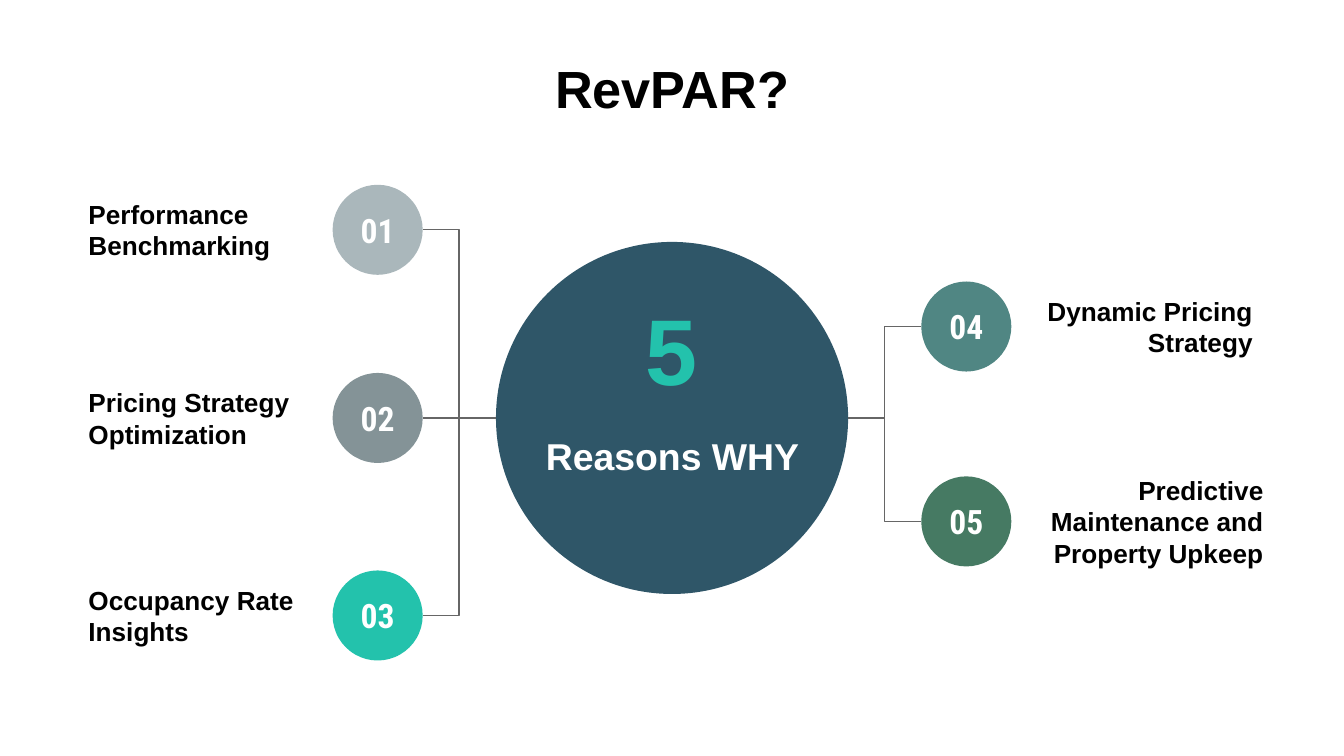
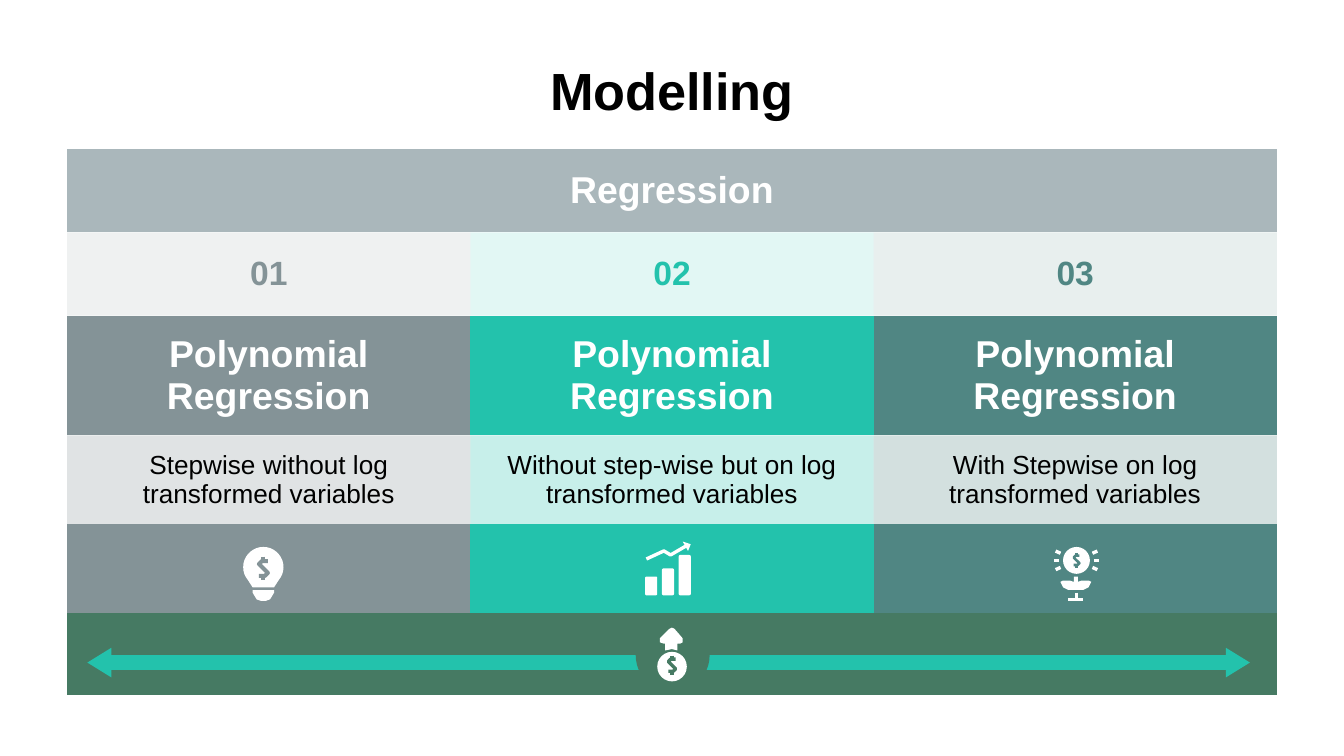
import math

from lxml import etree
from pptx import Presentation
from pptx import util as u
from pptx.dml import color as dml
from pptx.enum import shapes, text
from pptx.oxml import ns

NAVY, MIST, SLATE, MINT = "2F5668", "AAB7BB", "849397", "23C2AC"
TEAL, GREEN, GREY = "508683", "467A63", "666666"
BLACK, WHITE = "000000", "FFFFFF"
LEFT, CENTER, RIGHT = text.PP_ALIGN.LEFT, text.PP_ALIGN.CENTER, text.PP_ALIGN.RIGHT
SHAPE = shapes.MSO_SHAPE
NO_GRID_STYLE = "{2D5ABB26-0587-4C30-8999-92F81FD0307C}"
BADGE = 0.67


def rgb(value):
    """Turn a hex string into a colour."""
    return dml.RGBColor.from_string(value)


def inches(*values):
    """Convert several lengths to inches."""
    return [u.Inches(value) for value in values]


def apply(target, values):
    """Set attributes of an object from a dict."""
    for name, value in values.items():
        setattr(target, name, value)


def paint(target, color, alpha=None):
    """Fill a shape or cell, optionally with a percentage of opacity."""
    target.fill.solid()
    target.fill.fore_color.rgb = rgb(color)
    if alpha is not None:
        element = target.fill._xPr.find(".//" + ns.qn("a:srgbClr"))
        etree.SubElement(element, ns.qn("a:alpha"), val=str(alpha * 1000))


def write(frame, words, size, color, align=CENTER, bold=True, font="Arial"):
    """Write formatted paragraphs, one per line of words."""
    frame.text = words
    for para in frame.paragraphs:
        para.alignment = align
        for span in para.runs:
            apply(span.font, {"size": u.Pt(size), "bold": bold, "name": font})
            span.font.color.rgb = rgb(color)


def set_insets(target):
    """Centre text vertically and give it equal insets."""
    inset = u.Inches(0.1)
    apply(target, {"vertical_anchor": text.MSO_ANCHOR.MIDDLE,
                   "margin_left": inset, "margin_right": inset,
                   "margin_top": inset, "margin_bottom": inset})


def set_frame(frame):
    """Give a text frame wrapping, middle anchoring and equal insets."""
    apply(frame, {"word_wrap": True, "auto_size": text.MSO_AUTO_SIZE.NONE})
    set_insets(frame)


def add_page(deck, heading, top):
    """Add a slide with its centred title."""
    page = deck.slides.add_slide(deck.slide_layouts[5])
    title = page.shapes.title
    title.left, title.top, title.width, title.height = inches(0.5, top, 9, 0.41)
    set_frame(title.text_frame)
    write(title.text_frame, heading, 28, BLACK)
    return page


def add_label(page, box, words, size, color, align=CENTER):
    """Add a wrapped text box."""
    label = page.shapes.add_textbox(*inches(*box))
    set_frame(label.text_frame)
    write(label.text_frame, words, size, color, align)


def add_solid(page, kind, box, color):
    """Add a filled preset shape without line or shadow."""
    solid = page.shapes.add_shape(kind, *inches(*box))
    solid.shadow.inherit = False
    solid.line.fill.background()
    paint(solid, color)
    return solid


def add_disc(page, x, y, radius, color):
    """Add a filled circle around a centre."""
    return add_solid(page, SHAPE.OVAL, (x - radius, y - radius, 2 * radius, 2 * radius), color)


def add_outline(page, origin, contours, color, stroke=None):
    """Draw contours relative to an origin, filled or as open strokes."""
    left, top = origin
    builder = None
    for contour in contours:
        points = [inches(left + x, top + y) for x, y in contour]
        if builder is None:
            builder = page.shapes.build_freeform(*points[0])
        else:
            builder.move_to(*points[0])
        builder.add_line_segments(points[1:], close=stroke is None)
    outline = builder.convert_to_shape()
    outline.shadow.inherit = False
    if stroke is None:
        paint(outline, color)
        outline.line.fill.background()
    else:
        outline.fill.background()
        outline.line.width = u.Pt(stroke)
        outline.line.color.rgb = rgb(color)


def add_elbow(page, start, end):
    """Join two points with a thin bent connector."""
    elbow = page.shapes.add_connector(shapes.MSO_CONNECTOR.ELBOW, *inches(*start, *end))
    elbow.line.width = u.Pt(0.75)
    elbow.line.color.rgb = rgb(GREY)
    etree.SubElement(elbow._element.spPr, ns.qn("a:effectLst"))


def add_hub(page, x, y):
    """Draw the large central circle with its two texts."""
    add_disc(page, x, y, 1.31, NAVY)
    add_label(page, (x - 1.14, y - 0.12, 2.29, 0.8), "Reasons WHY", 20, WHITE)
    add_label(page, (x - 0.47, y - 0.92, 0.94, 0.8), "5", 50, MINT)


def add_reason(page, hub, number, side, y, color, words, label_left, label_width):
    """Draw one numbered badge, its label and its link to the hub."""
    x = hub[0] + side * 2.19
    add_elbow(page, (hub[0] + side * 1.31, hub[1]), (x - side * BADGE / 2, y))
    badge = add_disc(page, x, y, BADGE / 2, color)
    set_frame(badge.text_frame)
    write(badge.text_frame, f"{number:02}", 18, WHITE, font="Roboto Condensed")
    add_label(page, (label_left, y - 0.15, label_width, 0.3), words, 14, BLACK,
              LEFT if side < 0 else RIGHT)


def build_reasons(deck):
    """Build the slide of five reasons around a hub."""
    page = add_page(deck, "RevPAR?", 0.45)
    hub = (5, 3.11)
    reasons = [
        (-1, 1.71, MIST, "Performance Benchmarking", 0.56, 1.81),
        (-1, 3.11, SLATE, "Pricing Strategy Optimization", 0.56, 1.81),
        (-1, 4.58, MINT, "Occupancy Rate Insights", 0.56, 1.81),
        (1, 2.43, TEAL, "Dynamic Pricing\nStrategy", 7.61, 1.81),
        (1, 3.88, GREEN, "Predictive Maintenance and Property Upkeep", 7.56, 1.94),
    ]
    add_hub(page, *hub)
    for number, reason in enumerate(reasons, 1):
        add_reason(page, hub, number, *reason)


def add_dollar(page, x, y, scale, color):
    """Draw a stroked dollar sign around a centre."""
    curve = [(0.03, -0.05), (-0.01, -0.05), (-0.03, -0.03), (-0.01, -0.01),
             (0.01, 0.01), (0.03, 0.03), (0.01, 0.05), (-0.03, 0.05)]
    contours = [curve, [(0, -0.08), (0, -0.05)], [(0, 0.05), (0, 0.08)]]
    scaled = [[(scale * a, scale * b) for a, b in contour] for contour in contours]
    add_outline(page, (x, y), scaled, color, 2 * scale)


def add_bulb(page, left, top):
    """Draw a light bulb with a dollar sign."""
    angles = [math.radians(angle) for angle in range(140, 401, 10)]
    glass = [(0.15 + 0.15 * math.cos(a), 0.15 + 0.15 * math.sin(a)) for a in angles]
    cap = [(0.07, 0.32), (0.23, 0.32), (0.23, 0.34), (0.2, 0.39), (0.17, 0.4),
           (0.13, 0.4), (0.1, 0.39), (0.07, 0.34)]
    add_outline(page, (left, top), [glass + [(0.23, 0.3), (0.07, 0.3)]], WHITE)
    add_outline(page, (left, top), [cap], WHITE)
    add_dollar(page, left + 0.15, top + 0.16, 1.1, SLATE)


def add_growth(page, left, top):
    """Draw rising bars under a trend arrow."""
    for index, height in enumerate((0.14, 0.2, 0.3)):
        bar = add_solid(page, SHAPE.ROUNDED_RECTANGLE,
                        (left + 0.125 * index, top + 0.4 - height, 0.09, height), WHITE)
        bar.adjustments[0] = 0.12
    trend = [(0.01, 0.13), (0.14, 0.07), (0.19, 0.1), (0.31, 0.03)]
    add_outline(page, (left, top), [trend], WHITE, 1.8)
    add_outline(page, (left, top), [[(0.28, 0), (0.34, 0.02), (0.32, 0.07)]], WHITE)


def add_plant(page, left, top):
    """Draw a shining coin on a plant."""
    rays = []
    for angle in (-24, 0, 24, 156, 180, 204):
        turn = math.radians(angle)
        rays.append([(0.18 + r * math.cos(turn), 0.1 + r * math.sin(turn)) for r in (0.13, 0.17)])
    leaves = [(0.16, 0.22), (0.16, 0.26), (0.13, 0.25), (0.08, 0.25), (0.06, 0.26),
              (0.08, 0.3), (0.12, 0.32), (0.23, 0.32), (0.27, 0.3), (0.29, 0.26),
              (0.27, 0.25), (0.22, 0.25), (0.19, 0.26), (0.19, 0.22)]
    stem = [[(0.18, 0.34), (0.18, 0.39)], [(0.12, 0.39), (0.23, 0.39)]]
    add_outline(page, (left, top), rays + stem, WHITE, 1.8)
    add_outline(page, (left, top), [leaves], WHITE)
    add_disc(page, left + 0.18, top + 0.1, 0.1, WHITE)
    add_dollar(page, left + 0.18, top + 0.1, 0.7, TEAL)


def add_rise(page, left, top):
    """Draw an upward arrow above a coin."""
    arrow = [(0.11, 0), (0.13, 0.01), (0.19, 0.08), (0.19, 0.11), (0.17, 0.12),
             (0.15, 0.12), (0.15, 0.17), (0.11, 0.16), (0.06, 0.17), (0.06, 0.12),
             (0.05, 0.12), (0.02, 0.11), (0.02, 0.08), (0.09, 0.01)]
    add_outline(page, (left, top), [arrow], WHITE)
    add_disc(page, left + 0.11, top + 0.29, 0.11, WHITE)
    add_dollar(page, left + 0.11, top + 0.28, 0.9, GREEN)


def fill_cell(cell, color, alpha=None, words="", size=18, ink=WHITE, bold=True):
    """Fill one table cell and write its text."""
    set_insets(cell)
    paint(cell, color, alpha)
    if words:
        write(cell.text_frame, words, size, ink, bold=bold)


def add_models(page, left, top):
    """Add the table that compares three regression models."""
    heights = (0.62, 0.62, 0.89, 0.66, 0.66, 0.61)
    models = [(SLATE, "Stepwise without log transformed variables"),
              (MINT, "Without step-wise but on log transformed variables"),
              (TEAL, "With Stepwise on log transformed variables")]
    frame = page.shapes.add_table(6, 3, *inches(left, top, 9, sum(heights)))
    table = frame.table
    table._tbl.tblPr.find(ns.qn("a:tableStyleId")).text = NO_GRID_STYLE
    for row, height in zip(table.rows, heights):
        row.height = u.Inches(height)
    for row in (0, 5):
        table.cell(row, 0).merge(table.cell(row, 2))
    fill_cell(table.cell(0, 0), MIST, words="Regression", size=20)
    fill_cell(table.cell(5, 0), GREEN)
    for column, (color, method) in enumerate(models):
        fill_cell(table.cell(1, column), color, 13, f"{column + 1:02}", ink=color)
        fill_cell(table.cell(2, column), color, words="Polynomial Regression", size=20)
        fill_cell(table.cell(3, column), color, 25, method, 14, BLACK, False)
        fill_cell(table.cell(4, column), color)


def build_modelling(deck):
    """Build the slide with the model table, icons and arrow."""
    page = add_page(deck, "Modelling", 0.46)
    add_models(page, 0.5, 1.11)
    arrow = add_solid(page, SHAPE.LEFT_RIGHT_ARROW, (0.65, 4.82, 8.65, 0.22), MINT)
    arrow.adjustments[0], arrow.adjustments[1] = 0.5, 0.81
    add_solid(page, SHAPE.OVAL, (4.73, 4.6, 0.55, 0.55), GREEN)
    add_growth(page, 4.8, 4.03)
    add_plant(page, 7.83, 4.07)
    add_bulb(page, 1.81, 4.07)
    add_rise(page, 4.89, 4.67)


def main():
    """Build and save the deck."""
    deck = Presentation()
    deck.slide_width = u.Inches(10)
    deck.slide_height = deck.slide_width * 9 // 16
    build_reasons(deck)
    build_modelling(deck)
    deck.save("out.pptx")


if __name__ == "__main__":
    main()
